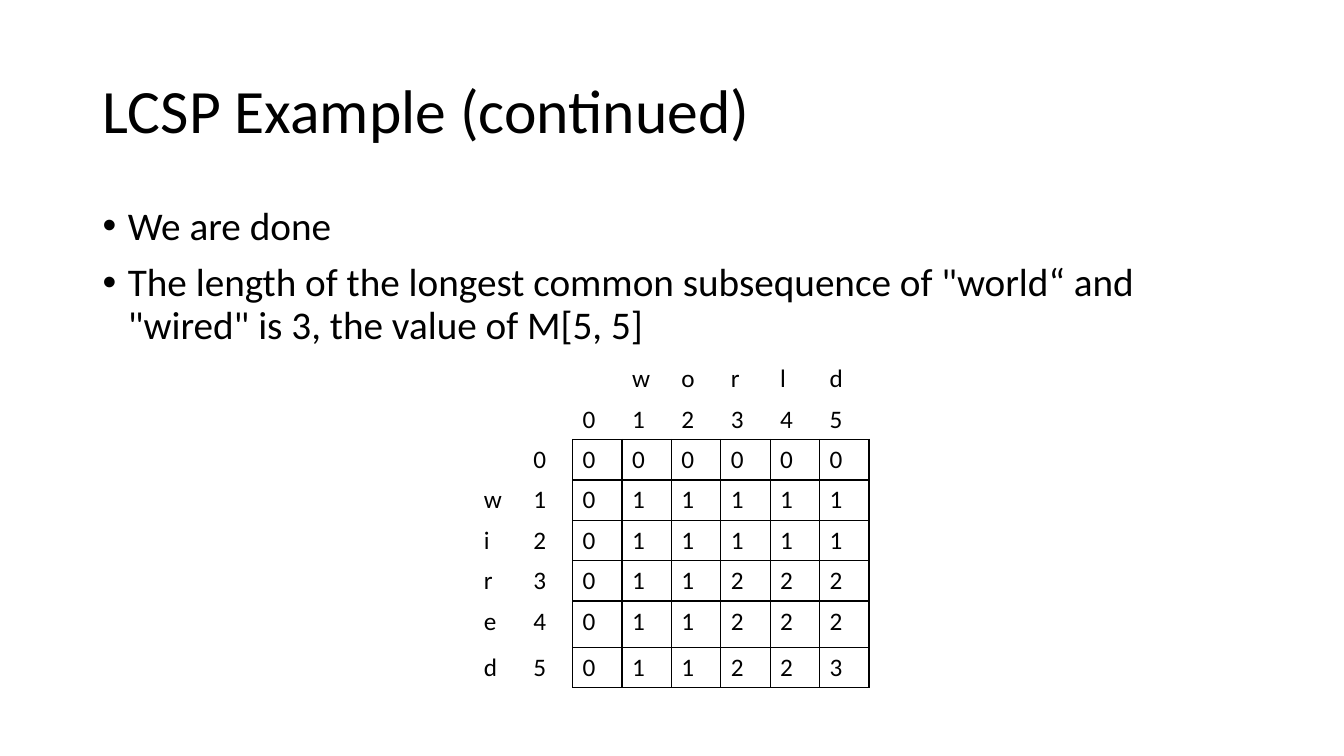
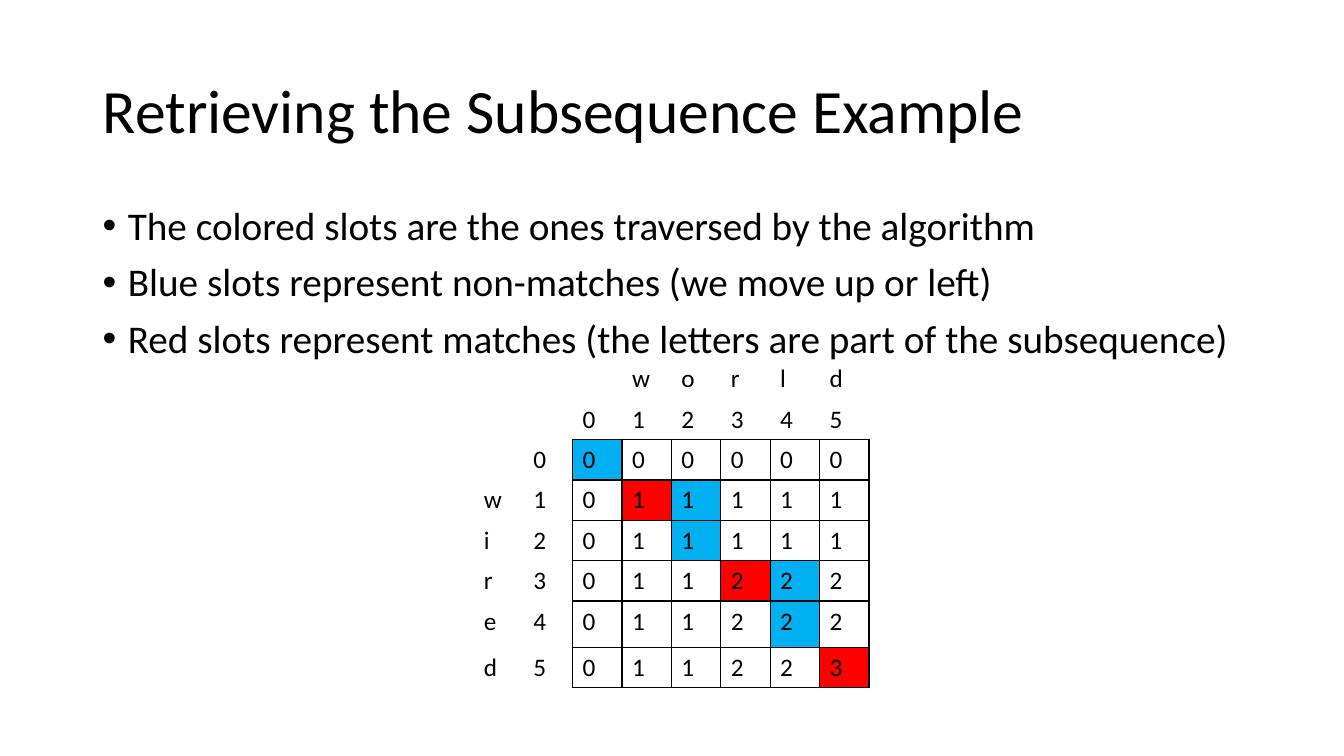
from dataclasses import dataclass, field

from pptx import Presentation
from pptx import util as u
from pptx.dml import color
from pptx.enum import text
from pptx.oxml import ns, xmlchemy

COLORS = {"text": "000000", "paper": "FFFFFF", "blue": "00B0F0", "red": "FF0000"}
FONT = "Calibri"
BULLET_INDENT = u.Inches(0.25)

TABLE_ROWS = (
    "   world",
    "  012345",
    " 0000000",
    "w1011111",
    "i2011111",
    "r3011222",
    "e4011222",
    "d5011223",
)
HEADER_CELLS = 2
COLUMN_WIDTH = 0.49
ROW_HEIGHT = 0.38
TALL_ROW, TALL_HEIGHT = 6, 0.46


@dataclass(frozen=True)
class ExampleSlide:
    title: str
    bullets: tuple[str, ...]
    slot_colors: dict[tuple[int, int], str] = field(default_factory=dict)


SLIDES = (
    ExampleSlide(
        "LCSP Example (continued)",
        (
            "We are done",
            'The length of the longest common subsequence of "world“ and "wired" is 3, '
            "the value of M[5, 5]",
        ),
    ),
    ExampleSlide(
        "Retrieving the Subsequence Example",
        (
            "The colored slots are the ones traversed by the algorithm",
            "Blue slots represent non-matches (we move up or left)",
            "Red slots represent matches (the letters are part of the subsequence)",
        ),
        {
            (0, 0): "blue",
            (1, 1): "red",
            (1, 2): "blue",
            (2, 2): "blue",
            (3, 3): "red",
            (3, 4): "blue",
            (4, 4): "blue",
            (5, 5): "red",
        },
    ),
)


def rgb(name: str) -> color.RGBColor:
    return color.RGBColor.from_string(COLORS[name])


def add_child(parent, tag: str, **attributes: str):
    child = xmlchemy.OxmlElement(tag)
    for name, value in attributes.items():
        child.set(name, value)
    parent.append(child)
    return child


def write(para, content: str, *, size: float, spacing: float | None = None,
          before: float | None = None, bullet: bool = False) -> None:
    span = para.add_run()
    span.text = content
    span.font.name = FONT
    span.font.size = u.Pt(size)
    span.font.color.rgb = rgb("text")
    if spacing is not None:
        para.line_spacing = spacing
    if before is not None:
        para.space_before = u.Pt(before)
    if bullet:
        properties = para._p.get_or_add_pPr()
        properties.set("marL", str(BULLET_INDENT))
        properties.set("indent", str(-BULLET_INDENT))
        add_child(properties, "a:buFont", typeface="Arial")
        add_child(properties, "a:buChar", char="•")


def add_text_frame(page, top: float, height: float, anchor):
    box = page.shapes.add_textbox(
        u.Inches(0.92), u.Inches(top), u.Inches(11.5), u.Inches(height))
    frame = box.text_frame
    frame.word_wrap = True
    frame.vertical_anchor = anchor
    return frame


def add_title(page, title: str) -> None:
    frame = add_text_frame(page, 0.4, 1.45, text.MSO_ANCHOR.MIDDLE)
    write(frame.paragraphs[0], title, size=44, spacing=0.9)


def add_bullets(page, bullets: tuple[str, ...]) -> None:
    frame = add_text_frame(page, 2, 4.76, text.MSO_ANCHOR.TOP)
    for index, bullet in enumerate(bullets):
        para = frame.add_paragraph() if index else frame.paragraphs[0]
        write(para, bullet, size=28, spacing=0.9, before=10, bullet=True)


def in_matrix(row: int, column: int) -> bool:
    return (HEADER_CELLS <= row < len(TABLE_ROWS)
            and HEADER_CELLS <= column < len(TABLE_ROWS[0]))


def set_borders(cell, row: int, column: int) -> None:
    properties = cell._tc.get_or_add_tcPr()
    neighbors = {
        "a:lnL": (row, column - 1),
        "a:lnR": (row, column + 1),
        "a:lnT": (row - 1, column),
        "a:lnB": (row + 1, column),
    }
    for tag, neighbor in neighbors.items():
        line = add_child(properties, tag, w=str(u.Pt(1)))
        if in_matrix(row, column) or in_matrix(*neighbor):
            fill = add_child(line, "a:solidFill")
            add_child(fill, "a:srgbClr", val=COLORS["text"])
        else:
            add_child(line, "a:noFill")


def add_matrix(page, slot_colors: dict[tuple[int, int], str]) -> None:
    row_count, column_count = len(TABLE_ROWS), len(TABLE_ROWS[0])
    heights = [TALL_HEIGHT if row == TALL_ROW else ROW_HEIGHT for row in range(row_count)]
    table = page.shapes.add_table(
        row_count, column_count, u.Inches(4.7), u.Inches(3.56),
        u.Inches(COLUMN_WIDTH * column_count), u.Inches(sum(heights))).table
    table.first_row = False
    table.horz_banding = False
    for column in table.columns:
        column.width = u.Inches(COLUMN_WIDTH)
    for row, (symbols, height) in enumerate(zip(TABLE_ROWS, heights)):
        table.rows[row].height = u.Inches(height)
        for column, symbol in enumerate(symbols):
            cell = table.cell(row, column)
            set_borders(cell, row, column)
            slot = (row - HEADER_CELLS, column - HEADER_CELLS)
            if slot in slot_colors:
                cell.fill.solid()
                cell.fill.fore_color.rgb = rgb(slot_colors[slot])
            else:
                cell.fill.background()
            if symbol != " ":
                write(cell.text_frame.paragraphs[0], symbol, size=18)


def main() -> None:
    deck = Presentation()
    deck.slide_width, deck.slide_height = u.Inches(13.33), u.Inches(7.5)
    background = deck.slide_master.background.fill
    background.solid()
    background.fore_color.rgb = rgb("paper")
    for example in SLIDES:
        page = deck.slides.add_slide(deck.slide_layouts[6])
        add_title(page, example.title)
        add_bullets(page, example.bullets)
        add_matrix(page, example.slot_colors)
    deck.save("out.pptx")


if __name__ == "__main__":
    main()
